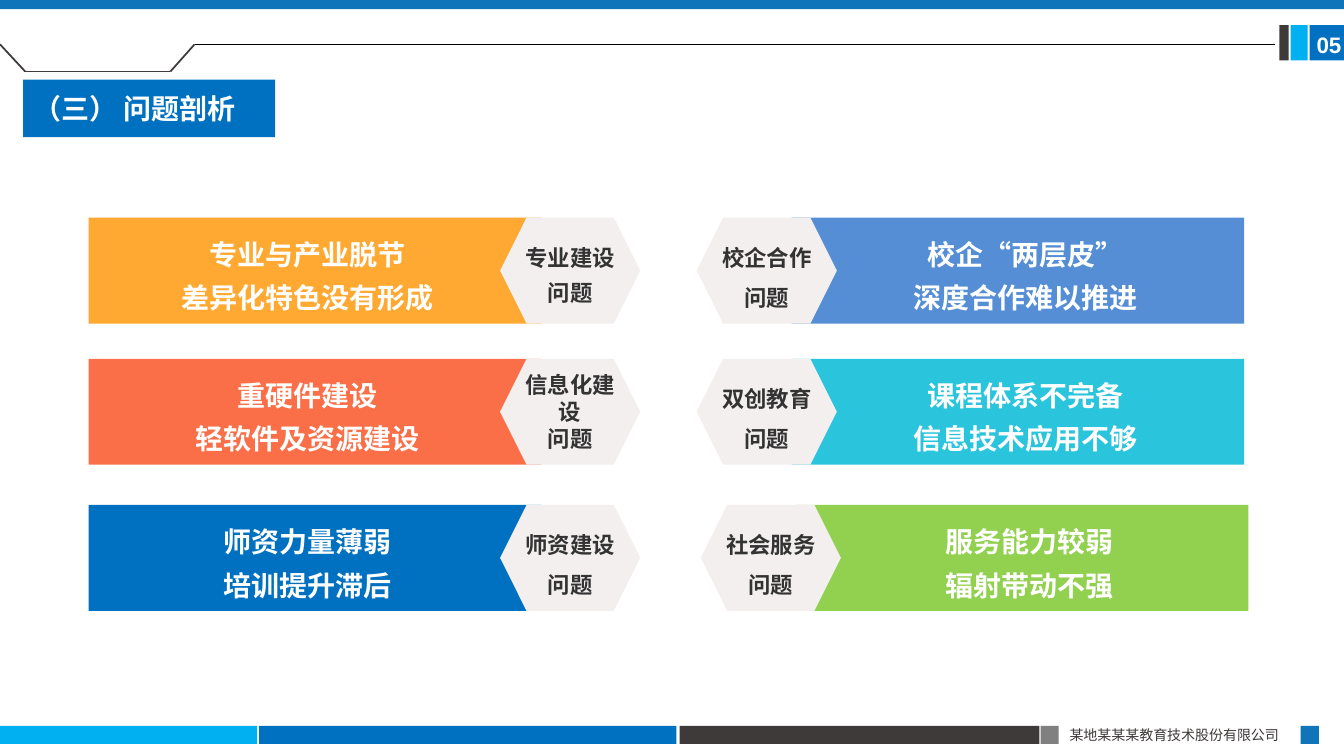
from lxml.etree import SubElement
from pptx import Presentation
from pptx.dml.color import RGBColor
from pptx.enum.shapes import MSO_CONNECTOR as CONNECTOR, MSO_SHAPE as SHAPE
from pptx.enum.text import MSO_ANCHOR as ANCHOR, MSO_AUTO_SIZE as AUTO_SIZE, PP_ALIGN as ALIGN
from pptx.oxml.ns import qn
from pptx.util import Inches, Pt

WHITE = RGBColor(0xFF, 0xFF, 0xFF)
BLACK = RGBColor(0x00, 0x00, 0x00)
INK = RGBColor(0x33, 0x33, 0x33)
CHARCOAL = RGBColor(0x3E, 0x3A, 0x39)
GRAY = RGBColor(0x80, 0x80, 0x80)
PALE = RGBColor(0xF3, 0xEF, 0xEF)
BLUE = RGBColor(0x00, 0x70, 0xC0)
BAND_BLUE = RGBColor(0x10, 0x74, 0xBB)
SKY = RGBColor(0x00, 0xB0, 0xF0)
ORANGE = RGBColor(0xFF, 0xA9, 0x32)
CORAL = RGBColor(0xFA, 0x6F, 0x48)
STEEL = RGBColor(0x55, 0x8E, 0xD5)
TURQUOISE = RGBColor(0x2A, 0xC4, 0xDC)
GREEN = RGBColor(0x92, 0xD0, 0x50)

CHINESE_FONT = "Noto Sans CJK SC"
BANNER_FONT = dict(name="Calibri", size=Pt(20), bold=True)
TOPIC_FONT = dict(name="Calibri", size=Pt(16), bold=True)
TITLE_FONT = dict(name=CHINESE_FONT, size=Pt(20), bold=True)
NUMBER_FONT = dict(name="Arial", size=Pt(16), bold=True)
FOOTER_FONT = dict(name=CHINESE_FONT, size=Pt(10))

BANNER_WIDTH, TOPIC_WIDTH, ROW_HEIGHT, NOTCH = 4.49, 1.39, 1.05, 0.41
LEFT_BANNER, LEFT_TOPIC = 0.88, 4.96
RIGHT_TOPIC, RIGHT_BANNER = 6.91, 7.85

# left, top, width, height, colour
BARS = [
    (0, 7.2, 2.55, 0.18, SKY),
    (2.57, 7.2, 4.14, 0.18, BLUE),
    (6.74, 7.2, 3.57, 0.18, CHARCOAL),
    (10.32, 7.2, 0.18, 0.18, GRAY),
    (12.9, 7.2, 0.18, 0.18, BAND_BLUE),
    (12.99, 0.25, 0.35, 0.35, BLUE),
    (12.8, 0.25, 0.17, 0.35, SKY),
    (12.69, 0.25, 0.09, 0.35, CHARCOAL),
    (0, 0, 13.33, 0.09, BAND_BLUE),
]
TAB_OUTLINE = [(0, 0.44), (0.25, 0.71), (1.69, 0.71), (1.93, 0.44)]

# top, colour, banner lines, topic lines, topic line spacing
LEFT_ROWS = [
    (2.16, ORANGE, ["专业与产业脱节", "差异化特色没有形成"], ["专业建设问题"], 1.3),
    (3.56, CORAL, ["重硬件建设", "轻软件及资源建设"], ["信息化建设", "问题"], 1.0),
    (5.01, BLUE, ["师资力量薄弱", "培训提升滞后"], ["师资建设问题"], 1.5),
]
# top, shift to the right, colour, banner lines, topic
RIGHT_ROWS = [
    (2.16, 0, STEEL, ["校企“两层皮”", "深度合作难以推进"], "校企合作问题"),
    (3.56, 0, TURQUOISE, ["课程体系不完备", "信息技术应用不够"], "双创教育问题"),
    (5.01, 0.04, GREEN, ["服务能力较弱", "辐射带动不强"], "社会服务问题"),
]


def paint(shape, color):
    shape.shadow.inherit = False
    shape.fill.solid()
    shape.fill.fore_color.rgb = color
    shape.line.fill.background()


def write(shape, lines, font, color, align=ALIGN.LEFT, spacing=None, **frame_format):
    """Fill a shape with one paragraph per line, in Latin and Chinese fonts."""
    frame = shape.text_frame
    for name, value in dict(word_wrap=True, **frame_format).items():
        setattr(frame, name, value)
    for index, line in enumerate(lines):
        para = frame.add_paragraph() if index else frame.paragraphs[0]
        para.alignment = align
        para.line_spacing = spacing
        span = para.add_run()
        span.text = line
        for name, value in font.items():
            setattr(span.font, name, value)
        span.font.color.rgb = color
        SubElement(span.font._element, qn("a:ea"), typeface=CHINESE_FONT)


def add_bar(page, left, top, width, height, color):
    bar = page.shapes.add_shape(
        SHAPE.RECTANGLE, Inches(left), Inches(top), Inches(width), Inches(height))
    paint(bar, color)
    return bar


def add_label(page, left, top, width, height, text, font, color, **text_format):
    box = page.shapes.add_textbox(Inches(left), Inches(top), Inches(width), Inches(height))
    write(box, [text], font, color, auto_size=AUTO_SIZE.SHAPE_TO_FIT_TEXT, **text_format)


def add_rule(page, start, end, color, width):
    rule = page.shapes.add_connector(
        CONNECTOR.STRAIGHT, *(Inches(value) for value in (*start, *end)))
    rule.line.color.rgb = color
    rule.line.width = Pt(width)
    SubElement(rule._element.spPr, qn("a:effectLst"))


def add_banner(page, left, top, color, lines, notch_right):
    """Draw a bar whose inner end is cut by a V-shaped notch."""
    right = left + BANNER_WIDTH
    outer, inner, tip = (left, right, right - NOTCH) if notch_right else (right, left, left + NOTCH)
    bottom = top + ROW_HEIGHT
    corners = [(inner, top), (tip, top + ROW_HEIGHT / 2), (inner, bottom), (outer, bottom)]
    builder = page.shapes.build_freeform(Inches(outer), Inches(top))
    builder.add_line_segments([(Inches(x), Inches(y)) for x, y in corners])
    banner = builder.convert_to_shape()
    paint(banner, color)
    margins = (0.16, 0.31) if notch_right else (0.31, 0.16)
    write(banner, lines, BANNER_FONT, WHITE, ALIGN.CENTER, 1.3,
          vertical_anchor=ANCHOR.MIDDLE,
          margin_left=Inches(margins[0]), margin_right=Inches(margins[1]))


def add_topic(page, left, top, lines, spacing):
    topic = page.shapes.add_shape(
        SHAPE.HEXAGON, Inches(left), Inches(top), Inches(TOPIC_WIDTH), Inches(ROW_HEIGHT))
    paint(topic, PALE)
    write(topic, lines, TOPIC_FONT, INK, ALIGN.CENTER, spacing,
          vertical_anchor=ANCHOR.MIDDLE,
          margin_left=0, margin_top=0, margin_right=0, margin_bottom=0)


def add_page_frame(page):
    for bar in BARS:
        add_bar(page, *bar)
    add_label(page, 10.51, 7.16, 2.4, 0.27, "某地某某某教育技术股份有限公司",
              FOOTER_FONT, CHARCOAL, align=ALIGN.JUSTIFY)
    for start, end in zip(TAB_OUTLINE, TAB_OUTLINE[1:]):
        add_rule(page, start, end, CHARCOAL, 1.25)
    add_rule(page, TAB_OUTLINE[-1], (12.65, 0.44), BLACK, 0.5)
    add_label(page, 12.96, 0.26, 0.5, 0.37, "05", NUMBER_FONT, WHITE)


def main():
    deck = Presentation()
    deck.slide_width, deck.slide_height = Inches(13.33), Inches(7.5)
    page = deck.slides.add_slide(deck.slide_layouts[6])

    add_page_frame(page)
    for top, color, lines, topic, spacing in LEFT_ROWS:
        add_banner(page, LEFT_BANNER, top, color, lines, notch_right=True)
        add_topic(page, LEFT_TOPIC, top, topic, spacing)
    for top, shift, color, lines, topic in RIGHT_ROWS:
        add_banner(page, RIGHT_BANNER + shift, top, color, lines, notch_right=False)
        add_topic(page, RIGHT_TOPIC + shift, top, [topic], 1.5)

    title = add_bar(page, 0.23, 0.79, 2.5, 0.57, BLUE)
    write(title, ["（三） 问题剖析"], TITLE_FONT, WHITE, vertical_anchor=ANCHOR.MIDDLE)

    deck.save("out.pptx")


if __name__ == "__main__":
    main()
